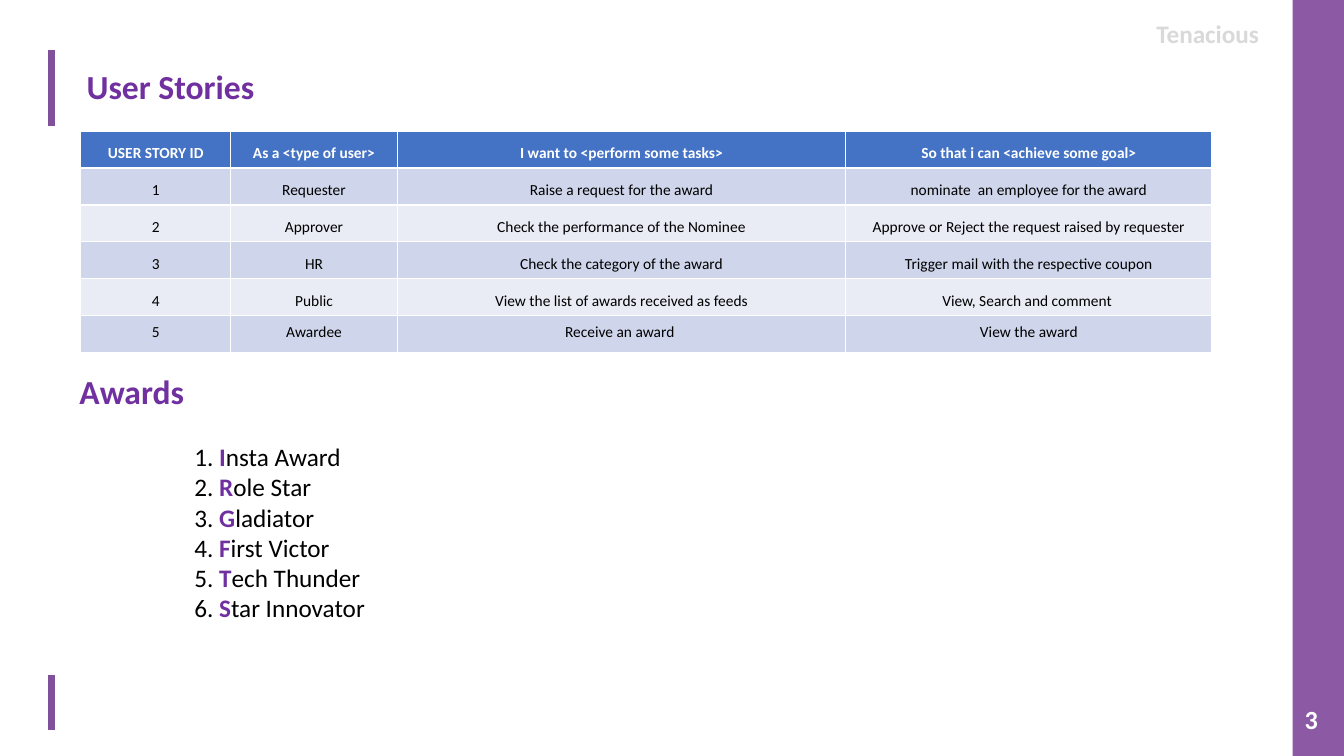
from lxml import etree
from pptx import Presentation
from pptx.dml.color import RGBColor
from pptx.enum import shapes, text
from pptx.oxml import ns
from pptx.util import Inches, Pt

HUES = {
    "white": "FFFFFF", "black": "000000", "grey": "D9D9D9",
    "rule": "81509B", "band": "8C5AA5", "head": "7030A0",
    "top": "4472C4", "odd": "CFD5EA", "even": "E9EBF5",
}
STORIES = [
    ("USER STORY ID", "As a <type of user>", "I want to <perform some tasks>",
     "So that i can <achieve some goal>"),
    ("1", "Requester", "Raise a request for the award",
     "nominate  an employee for the award"),
    ("2", "Approver", "Check the performance of the Nominee",
     "Approve or Reject the request raised by requester"),
    ("3", "HR", "Check the category of the award",
     "Trigger mail with the respective coupon"),
    ("4", "Public", "View the list of awards received as feeds",
     "View, Search and comment "),
    ("5", "Awardee", "Receive an award ", "View the award"),
]
AWARDS = ["Insta Award", "Role Star", "Gladiator", "First Victor",
          "Tech Thunder", "Star Innovator"]
WIDTHS = [1.49, 1.65, 4.45, 3.63]


def paint(hue):
    return RGBColor.from_string(HUES[hue])


def apply(item, **vals):
    for key, val in vals.items():
        setattr(item, key, val)


def put(para, words, size, hue, bold=False):
    run = para.add_run()
    run.text = words
    apply(run.font, name="Calibri", size=Pt(size), bold=bold)
    run.font.color.rgb = paint(hue)


def label(slide, box, words, size, hue, **form):
    shape = slide.shapes.add_textbox(*map(Inches, box))
    apply(shape.text_frame, word_wrap=True, **form)
    put(shape.text_frame.paragraphs[0], words, size, hue, True)


def rule(slide, left, top, high):
    line = slide.shapes.add_connector(
        shapes.MSO_CONNECTOR.STRAIGHT,
        *map(Inches, (left, top, left, top + high)))
    line.line.width = Pt(5)
    line.line.color.rgb = paint("rule")
    etree.SubElement(line._element.spPr, ns.qn("a:effectLst"))


def frame(slide, box):
    left, top, wide, high = box
    rule(slide, left + 0.51, top + 0.5, 0.75)
    rule(slide, left + 0.51, top + 6.7, 0.54)
    edge = left + wide - 0.51
    band = slide.shapes.add_shape(
        shapes.MSO_SHAPE.RECTANGLE,
        *map(Inches, (edge, top, 0.51, high)))
    band.shadow.inherit = False
    band.fill.solid()
    band.fill.fore_color.rgb = paint("band")
    band.line.fill.background()
    label(slide, (edge + 0.05, top + high - 0.55, 0.44, 0.38), "3", 18.7,
          "white", margin_left=Inches(0.07), margin_right=Inches(0.07),
          margin_top=Inches(0.03), margin_bottom=Inches(0.03))
    label(slide, (edge - 1.45, top + 0.13, 1.39, 0.4), "Tenacious ", 18, "grey")


def title(slide, box):
    head = slide.shapes.title
    for key, val in zip(("left", "top", "width", "height"), box):
        setattr(head, key, Inches(val))
    apply(head.text_frame, word_wrap=True,
          vertical_anchor=text.MSO_ANCHOR.TOP,
          auto_size=text.MSO_AUTO_SIZE.NONE)
    para = head.text_frame.paragraphs[0]
    para.alignment = text.PP_ALIGN.LEFT
    put(para, "User Stories", 24, "head", True)


def stories(slide, box):
    grid = slide.shapes.add_table(
        len(STORIES), len(WIDTHS), *map(Inches, box)).table
    for col, wide in zip(grid.columns, WIDTHS):
        col.width = Inches(wide)
    last = len(STORIES) - 1
    for r, row in enumerate(STORIES):
        back = "top" if r == 0 else "odd" if r % 2 else "even"
        anchor = text.MSO_ANCHOR.MIDDLE if r == last else text.MSO_ANCHOR.BOTTOM
        for c, words in enumerate(row):
            cell = grid.cell(r, c)
            apply(cell, vertical_anchor=anchor,
                  margin_left=Inches(0.01), margin_right=Inches(0.01),
                  margin_top=Inches(0.01), margin_bottom=Inches(0.05))
            cell.fill.solid()
            cell.fill.fore_color.rgb = paint(back)
            para = cell.text_frame.paragraphs[0]
            para.alignment = text.PP_ALIGN.CENTER
            put(para, words, 11, "black" if r else "white", r == 0)


def awards(slide, box):
    left, top, wide, high = box
    label(slide, (left, top, wide, 0.5), "Awards", 24, "head")
    body = slide.shapes.add_textbox(
        *map(Inches, (left + 1.14, top + 0.7, 3, high - 0.7))).text_frame
    body.word_wrap = True
    for i, award in enumerate(AWARDS):
        para = body.add_paragraph() if i else body.paragraphs[0]
        props = para._p.get_or_add_pPr()
        etree.SubElement(props, ns.qn("a:buFont"), typeface="+mj-lt")
        etree.SubElement(props, ns.qn("a:buAutoNum"), type="arabicPeriod")
        put(para, " ", 18, "black")
        put(para, award[0], 18, "head", True)
        put(para, award[1:], 18, "black")


def main():
    deck = Presentation()
    apply(deck, slide_width=Inches(13.33), slide_height=Inches(7.5))
    slide = deck.slides.add_slide(deck.slide_layouts[5])
    frame(slide, (0, 0, 13.33, 7.5))
    title(slide, (0.76, 0.6, 3, 0.5))
    stories(slide, (0.8, 1.3, 11.22, 2.2))
    awards(slide, (0.69, 3.63, 3, 2.62))
    deck.save("out.pptx")


if __name__ == "__main__":
    main()
